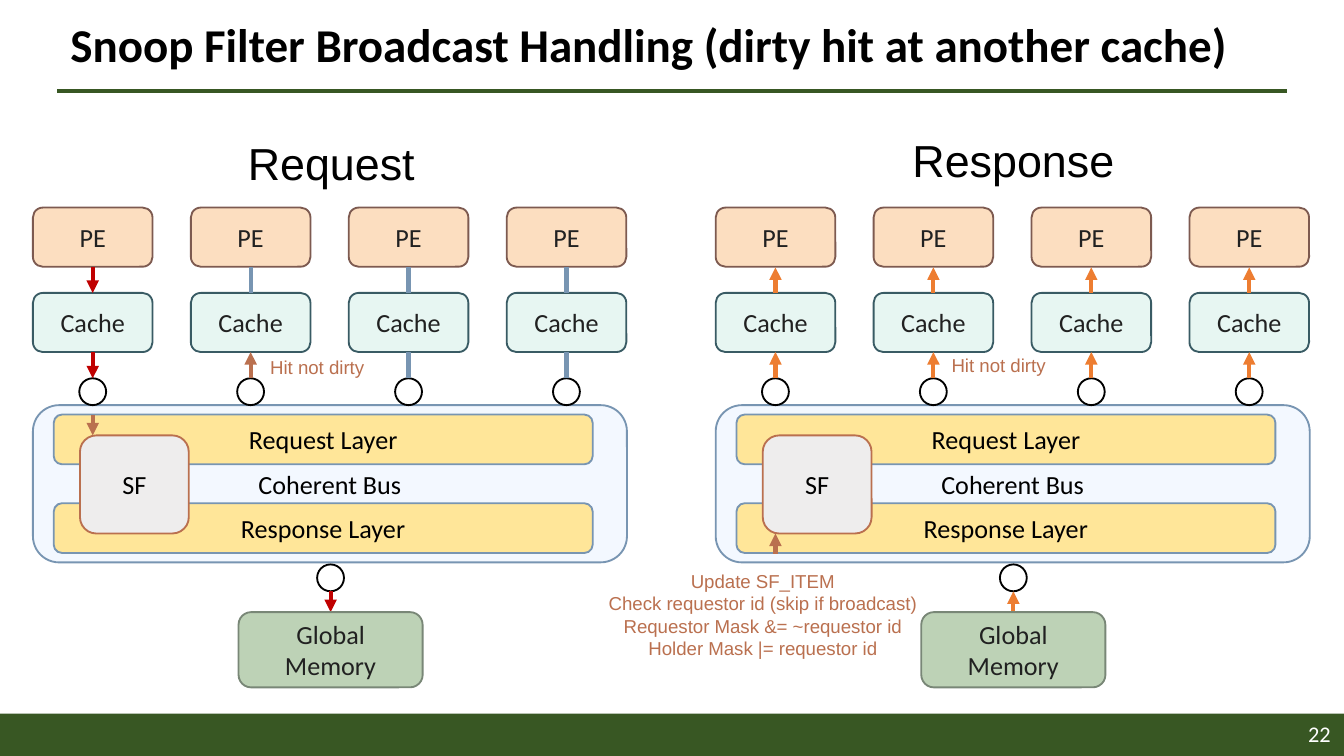
from lxml.etree import SubElement
from pptx import Presentation
from pptx.dml.color import RGBColor
from pptx.enum.shapes import MSO_CONNECTOR, MSO_SHAPE
from pptx.enum.text import MSO_ANCHOR, PP_ALIGN
from pptx.oxml.ns import qn
from pptx.util import Pt

SCALE = 4572
COLUMNS = 4
COLUMN_SPAN = 705
BLACK = RGBColor(0x00, 0x00, 0x00)
WHITE = RGBColor(0xFF, 0xFF, 0xFF)
INK = RGBColor(0x21, 0x21, 0x21)
GREEN = RGBColor(0x38, 0x57, 0x23)
RED = RGBColor(0xC0, 0x00, 0x00)
ORANGE = RGBColor(0xED, 0x7D, 0x31)
BLUE = RGBColor(0x78, 0x95, 0xB2)
BROWN = RGBColor(0xBA, 0x70, 0x4F)
PEACH = RGBColor(0xFC, 0xDE, 0xC0)
PEACH_EDGE = RGBColor(0x7D, 0x5A, 0x50)
MINT = RGBColor(0xE7, 0xF6, 0xF2)
MINT_EDGE = RGBColor(0x39, 0x5B, 0x64)
SAGE = RGBColor(0xBD, 0xD2, 0xB6)
SAGE_EDGE = RGBColor(0x79, 0x87, 0x77)
ICE = RGBColor(0xF3, 0xF8, 0xFF)
YELLOW = RGBColor(0xFF, 0xE6, 0x99)
GREY = RGBColor(0xEE, 0xED, 0xED)

DOWN = "tailEnd"
UP = "headEnd"
PLAIN = (BLUE, None)
REQUEST = (RED, DOWN)
RESPONSE = (ORANGE, UP)
SNOOP_HIT = (BROWN, UP)


def px(*lengths):
    """Turn px lengths into EMU."""
    return [length * SCALE for length in lengths]


def write_text(shape, text, size, color, font="Calibri", align=PP_ALIGN.CENTER,
               anchor=MSO_ANCHOR.MIDDLE, bold=False):
    """Fill a shape with text in one style."""
    frame = shape.text_frame
    frame.word_wrap = True
    frame.vertical_anchor = anchor
    frame.text = text
    for paragraph in frame.paragraphs:
        paragraph.alignment = align
        for run in paragraph.runs:
            run.font.name = font
            run.font.size = Pt(size)
            run.font.bold = bold
            run.font.color.rgb = color


def add_box(slide, box, fill, edge=None, text="", color=BLACK,
            kind=MSO_SHAPE.ROUNDED_RECTANGLE):
    """Draw a filled shape with an optional edge and text."""
    shape = slide.shapes.add_shape(kind, *px(*box))
    shape.shadow.inherit = False
    shape.fill.solid()
    shape.fill.fore_color.rgb = fill
    if edge is None:
        shape.line.fill.background()
    else:
        shape.line.color.rgb = edge
        shape.line.width = Pt(1)
    if text:
        write_text(shape, text, 14, color)


def add_port(slide, left, top):
    """Draw a round bus port."""
    add_box(slide, (left, top, 40, 40), WHITE, BLACK, kind=MSO_SHAPE.OVAL)


def add_line(slide, start, end, color, arrow=None):
    """Draw a line with an optional arrowhead at one end."""
    connector = slide.shapes.add_connector(MSO_CONNECTOR.STRAIGHT, *px(*start, *end))
    connector.line.color.rgb = color
    connector.line.width = Pt(2.25)
    if arrow:
        line = connector._element.spPr.find(qn("a:ln"))
        SubElement(line, qn(f"a:{arrow}"), type="triangle")
    SubElement(connector._element.spPr, qn("a:effectLst"))


def add_label(slide, box, text, size=10, color=BROWN, font="Arial",
              align=PP_ALIGN.CENTER, anchor=MSO_ANCHOR.TOP, bold=False):
    """Place a text box and return it."""
    label = slide.shapes.add_textbox(*px(*box))
    write_text(label, text, size, color, font, align, anchor, bold)
    return label


def draw_frame(slide, width, height):
    """Draw the title, its rule and the footer bar."""
    bar_top = height - 63
    add_box(slide, (0, bar_top, width, 63), GREEN, kind=MSO_SHAPE.RECTANGLE)
    add_line(slide, (85, 136), (1915, 136), GREEN)
    title = add_label(slide, (85, 22, 1830, 96),
                      "Snoop Filter Broadcast Handling (dirty hit at another cache)",
                      25.2, BLACK, "Calibri", PP_ALIGN.LEFT, MSO_ANCHOR.MIDDLE, True)
    title.text_frame.paragraphs[0].line_spacing = 0.9
    add_label(slide, (width - 450, bar_top, 450, 60), "22", 12, WHITE, "Calibri",
              PP_ALIGN.RIGHT, MSO_ANCHOR.MIDDLE)


def draw_column(slide, left, top, upper_link, lower_link):
    """Draw one processing element with its cache and port."""
    center = left + 89
    add_box(slide, (left, top, 178, 88), PEACH, PEACH_EDGE, "PE", INK)
    add_box(slide, (left, top + 127, 178, 88), MINT, MINT_EDGE, "Cache", INK)
    add_port(slide, center - 20, top + 254)
    add_line(slide, (center, top + 89), (center, top + 127), *upper_link)
    add_line(slide, (center, top + 215), (center, top + 254), *lower_link)


def draw_bus(slide, left, top):
    """Draw the coherent bus with its layers and snoop filter."""
    add_box(slide, (left, top, 884, 234), ICE, BLUE, "Coherent Bus")
    add_box(slide, (left + 31, top + 14, 802, 74), YELLOW, BLUE, "Request Layer")
    add_box(slide, (left + 31, top + 146, 802, 74), YELLOW, BLUE, "Response Layer")
    add_box(slide, (left + 70, top + 45, 162, 146), GREY, BROWN, "SF")


def draw_memory(slide, left, top, link):
    """Draw the memory port, its link and the global memory."""
    center = left + 137
    add_port(slide, center - 20, top)
    add_line(slide, (center, top + 40), (center, top + 71), *link)
    add_box(slide, (left, top + 71, 274, 112), SAGE, SAGE_EDGE, "Global Memory", INK)


def draw_system(slide, left, top, upper_links, lower_links, memory_link):
    """Draw the whole system of caches, bus and memory."""
    draw_bus(slide, left, top + 294)
    for index, links in enumerate(zip(upper_links, lower_links)):
        column_left = left + index * COLUMN_SPAN // (COLUMNS - 1)
        draw_column(slide, column_left, top, *links)
    draw_memory(slide, left + 306, top + 531, memory_link)


def draw_request(slide, left, top):
    """Draw the request side with its labels."""
    draw_system(slide, left, top, [REQUEST] + [PLAIN] * 3,
                [REQUEST, SNOOP_HIT, PLAIN, PLAIN], REQUEST)
    add_line(slide, (left + 89, top + 309), (left + 89, top + 339), BROWN, DOWN)
    add_label(slide, (left + 198, top - 117, 492, 100), "Request", 24, BLACK)
    add_label(slide, (left + 315, top + 211, 216, 54), "Hit not dirty")


def draw_response(slide, left, top):
    """Draw the response side with its labels."""
    links = [RESPONSE] * COLUMNS
    draw_system(slide, left, top, links, links, RESPONSE)
    add_line(slide, (left + 89, top + 485), (left + 89, top + 515), BROWN, UP)
    add_label(slide, (left + 197, top - 121, 492, 100), "Response", 24, BLACK)
    add_label(slide, (left + 313, top + 208, 216, 54), "Hit not dirty")
    update_steps = [
        "Update SF_ITEM",
        "Check requestor id (skip if broadcast)",
        "Requestor Mask &= ~requestor id",
        "Holder Mask |= requestor id",
    ]
    add_label(slide, (left - 183, top + 529, 506, 154), "\n".join(update_steps))


def main():
    """Build and save the presentation."""
    width, height = 2000, 1125
    presentation = Presentation()
    presentation.slide_width, presentation.slide_height = px(width, height)
    slide = presentation.slides.add_slide(presentation.slide_layouts[6])
    draw_frame(slide, width, height)
    draw_response(slide, 1065, 309)
    draw_request(slide, 49, 309)
    presentation.save("out.pptx")


if __name__ == "__main__":
    main()
